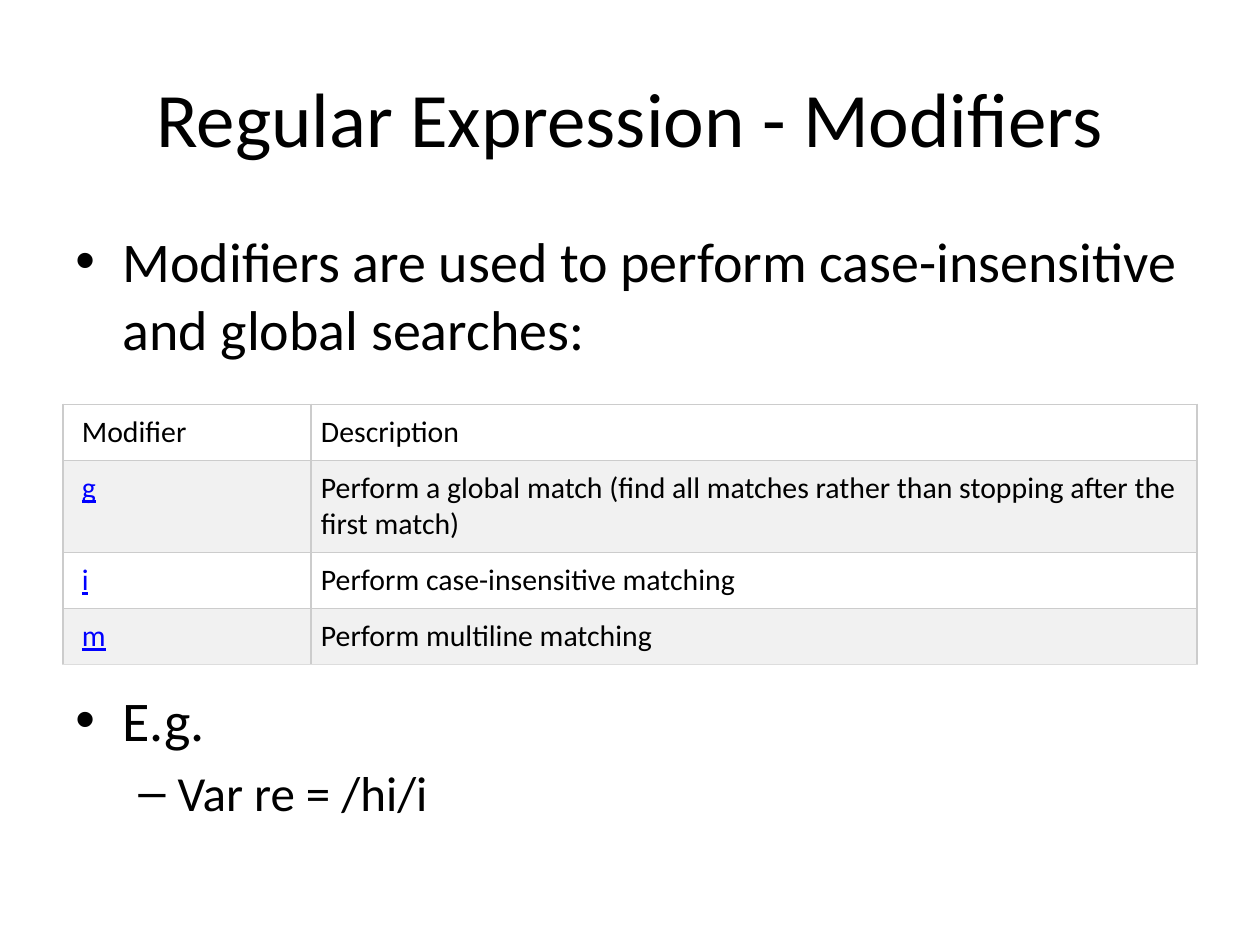
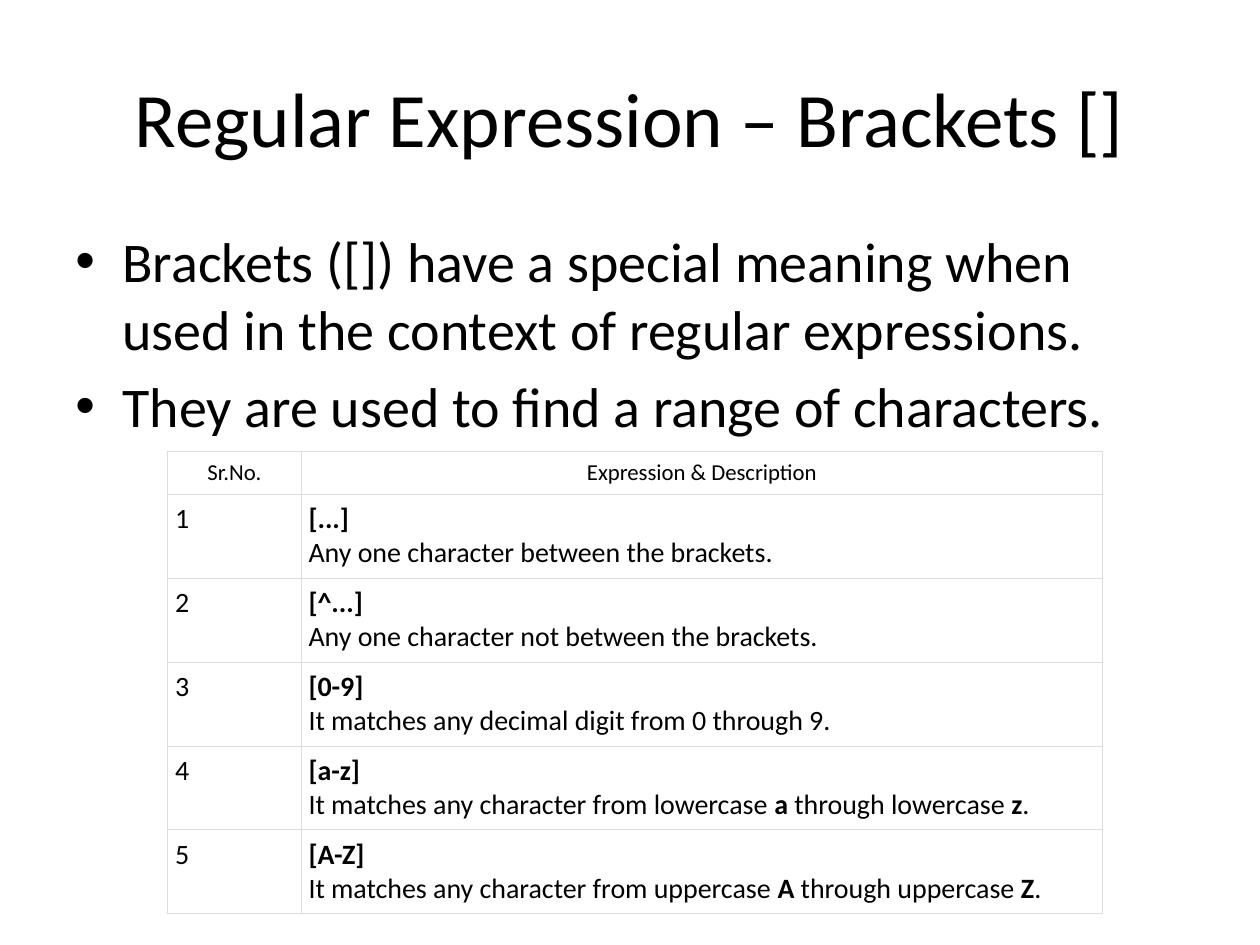
from lxml import etree
from pptx import Presentation
from pptx.dml.color import RGBColor
from pptx.enum import text
from pptx.oxml import ns
from pptx.util import Cm, Pt

FONT = "Calibri"
COLOURS = {"ink": "000000", "link": "0000FF", "white": "FFFFFF", "band": "F1F1F1",
           "rule": "CCCCCC", "light_rule": "DDDDDD"}
LEFT, CENTER, JUSTIFY = text.PP_ALIGN.LEFT, text.PP_ALIGN.CENTER, text.PP_ALIGN.JUSTIFY

# Bullet levels: mark, text indent and hanging indent in cm, size in points
LEVELS = [("•", 0.95, 0.95, 32), ("–", 2.06, 0.79, 28)]
GAP = 5.8           # points above each bullet
TABLE_GAP = 185     # points above the bullet that follows a table

# Bullets: (level, points above, wording)
MODIFIER_TITLE = "Regular Expression - Modifiers"
MODIFIER_BULLETS = [
    (0, GAP, "Modifiers are used to perform case-insensitive and global searches:"),
    (0, TABLE_GAP, "E.g."),
    (1, GAP, "Var re = /hi/i"),
]
MODIFIERS = [
    ("Modifier", "Description"),
    ("g", "Perform a global match (find all matches rather than stopping after the first match)"),
    ("i", "Perform case-insensitive matching"),
    ("m", "Perform multiline matching"),
]

BRACKET_TITLE = "Regular Expression – Brackets []"
BRACKET_BULLETS = [
    (0, GAP, "Brackets ([]) have a special meaning when used in the context of regular expressions."),
    (0, GAP, "They are used to find a range of characters."),
]
BRACKET_HEADS = ("Sr.No.", "Expression & Description")
# Words between asterisks are bold
BRACKETS = [
    ("[...]", "Any one character between the brackets."),
    ("[^...]", "Any one character not between the brackets."),
    ("[0-9]", "It matches any decimal digit from 0 through 9."),
    ("[a-z]", "It matches any character from lowercase *a* through lowercase *z*."),
    ("[A-Z]", "It matches any character from uppercase *A* through uppercase *Z*."),
]


def style(paragraph, size, colour="ink", align=LEFT):
    """Set the font and alignment of a whole paragraph."""
    paragraph.alignment = align
    paragraph.font.name = FONT
    paragraph.font.size = Pt(size)
    paragraph.font.color.rgb = RGBColor.from_string(COLOURS[colour])


def add_frame(slide, top, height):
    """Add a wrapping text frame across the content width."""
    frame = slide.shapes.add_textbox(Cm(1.27), Cm(top), Cm(22.86), Cm(height)).text_frame
    frame.word_wrap = True
    return frame


def next_paragraph(frame, index):
    """Return the first paragraph, or a new one after it."""
    return frame.add_paragraph() if index else frame.paragraphs[0]


def add_bullets(slide, bullets):
    """Add the bulleted body text."""
    frame = add_frame(slide, 4.45, 12.57)
    for index, (level, above, wording) in enumerate(bullets):
        mark, indent, hang, size = LEVELS[level]
        paragraph = next_paragraph(frame, index)
        paragraph.text = wording
        paragraph.level = level
        paragraph.space_before = Pt(above)
        style(paragraph, size)
        props = paragraph._p.get_or_add_pPr()
        props.set("marL", str(Cm(indent)))
        props.set("indent", str(-Cm(hang)))
        bullet_font = etree.Element(ns.qn("a:buFont"), typeface="Arial")
        bullet = etree.Element(ns.qn("a:buChar"), char=mark)
        # Bullet marks come before the default run properties
        defaults = props.find(ns.qn("a:defRPr"))
        defaults.addprevious(bullet_font)
        defaults.addprevious(bullet)


def add_page(deck, title, bullets):
    """Add a slide with the shared title and body."""
    slide = deck.slides.add_slide(deck.slide_layouts[6])
    frame = add_frame(slide, 0.76, 3.18)
    frame.vertical_anchor = text.MSO_ANCHOR.MIDDLE
    frame.text = title
    style(frame.paragraphs[0], 44, align=CENTER)
    add_bullets(slide, bullets)
    return slide


def add_grid(slide, left, top, widths, heights):
    """Add a plain table with the given column widths and row heights in cm."""
    table = slide.shapes.add_table(len(heights), len(widths), Cm(left), Cm(top),
                                   Cm(sum(widths)), Cm(sum(heights))).table
    table.first_row = table.horz_banding = False
    for column, width in zip(table.columns, widths):
        column.width = Cm(width)
    for row, height in zip(table.rows, heights):
        row.height = Cm(height)
    return table


def dress(cell, margin, rule, bottom=None, fill=None):
    """Set the margins, borders and fill of a cell."""
    cell.margin_left = cell.margin_right = cell.margin_top = cell.margin_bottom = Cm(margin)
    props = cell._tc.get_or_add_tcPr()
    for side in "LRTB":
        line = etree.SubElement(props, ns.qn("a:ln" + side), w=str(Pt(0.75)))
        paint = etree.SubElement(line, ns.qn("a:solidFill"))
        colour = bottom if side == "B" and bottom else rule
        etree.SubElement(paint, ns.qn("a:srgbClr"), val=COLOURS[colour])
    if fill:
        cell.fill.solid()
        cell.fill.fore_color.rgb = RGBColor.from_string(COLOURS[fill])
    else:
        cell.fill.background()


def write(paragraph, wording, bold=False):
    """Write wording, with the parts between asterisks in bold."""
    for index, part in enumerate(wording.split("*")):
        run = paragraph.add_run()
        run.text = part
        run.font.bold = bold or index % 2 == 1


def add_modifier_table(slide):
    """Add the banded table of modifiers, with link-styled names."""
    table = add_grid(slide, 1.27, 8.15, (5, 17.86), (1.13, 1.85, 1.13, 1.13))
    for r, row in enumerate(MODIFIERS):
        for c, wording in enumerate(row):
            cell = table.cell(r, c)
            dress(cell, 0.2, "rule", "light_rule" if r == len(MODIFIERS) - 1 else None,
                  "band" if r % 2 else "white")
            cell.text = wording
            is_link = r > 0 and c == 0
            paragraph = cell.text_frame.paragraphs[0]
            style(paragraph, 17, "link" if is_link else "ink")
            if is_link:
                paragraph.font.underline = True
            if c == 0:
                cell.margin_left = Cm(0.38)


def add_bracket_table(slide):
    """Add the numbered table of bracket expressions."""
    table = add_grid(slide, 3.38, 9.1, (2.69, 16.15), [0.87] + [1.69] * len(BRACKETS))
    for cell in table.iter_cells():
        dress(cell, 0.15, "light_rule")
    for c, head in enumerate(BRACKET_HEADS):
        cell = table.cell(0, c)
        cell.text = head
        style(cell.text_frame.paragraphs[0], 13, align=CENTER)
    for number, (expression, meaning) in enumerate(BRACKETS, 1):
        number_cell = table.cell(number, 0)
        number_cell.text = str(number)
        style(number_cell.text_frame.paragraphs[0], 16)
        frame = table.cell(number, 1).text_frame
        for index, wording in enumerate((expression, meaning)):
            paragraph = next_paragraph(frame, index)
            write(paragraph, wording, bold=index == 0)
            style(paragraph, 16, align=JUSTIFY)


deck = Presentation()
deck.slide_width, deck.slide_height = Cm(25.4), Cm(19.05)
add_modifier_table(add_page(deck, MODIFIER_TITLE, MODIFIER_BULLETS))
add_bracket_table(add_page(deck, BRACKET_TITLE, BRACKET_BULLETS))
deck.save("out.pptx")
